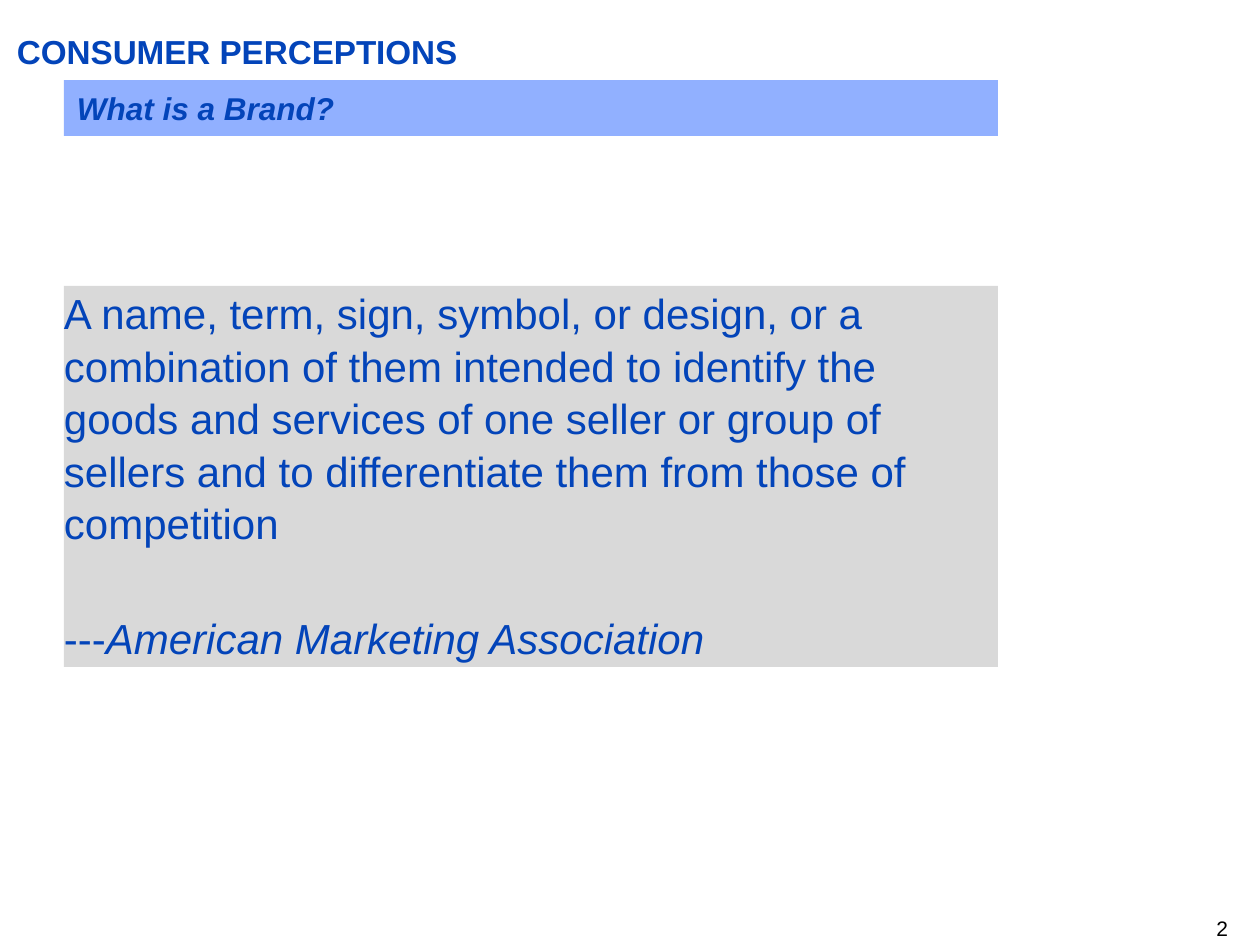
import pptx
import pptx.dml.color
import pptx.enum.shapes
import pptx.enum.text
import pptx.util

PX = 914400 // 126  # EMU per px
BLUE, BLACK = "0344B9", "000000"
PALE_BLUE, GREY = "91B0FF", "D9D9D9"
PANEL_LEFT, PANEL_WIDTH = 64, 934
ALIGN = pptx.enum.text.PP_ALIGN
ANCHOR = pptx.enum.text.MSO_ANCHOR


def px(*lengths):
    return [pptx.util.Emu(length * PX) for length in lengths]


def colour(hex_string):
    return pptx.dml.color.RGBColor.from_string(hex_string)


def set_frame(shape, anchor=ANCHOR.TOP, inset_x=0):
    frame = shape.text_frame
    frame.word_wrap = True
    frame.vertical_anchor = anchor
    frame.margin_left, frame.margin_right = px(inset_x, inset_x)
    frame.margin_top = frame.margin_bottom = 0
    return frame


def add_run(paragraph, text, size, ink=BLUE, bold=False, italic=False):
    run = paragraph.add_run()
    run.text = text
    font = run.font
    font.name, font.size = "Arial", pptx.util.Pt(size)
    font.bold, font.italic = bold, italic
    font.color.rgb = colour(ink)


def add_label(slide, box, text, size, align=ALIGN.LEFT, **style):
    frame = set_frame(slide.shapes.add_textbox(*px(*box)))
    paragraph = frame.paragraphs[0]
    paragraph.alignment = align
    add_run(paragraph, text, size, **style)


def add_panel(slide, top, height, fill, **frame_options):
    panel = slide.shapes.add_shape(
        pptx.enum.shapes.MSO_SHAPE.RECTANGLE,
        *px(PANEL_LEFT, top, PANEL_WIDTH, height))
    panel.shadow.inherit = False
    panel.fill.solid()
    panel.fill.fore_color.rgb = colour(fill)
    panel.line.fill.background()
    frame = set_frame(panel, **frame_options)
    frame.paragraphs[0].alignment = ALIGN.LEFT
    return frame


def main():
    deck = pptx.Presentation()
    deck.slide_width, deck.slide_height = px(1260, 945)
    slide = deck.slides.add_slide(deck.slide_layouts[6])

    # Page number
    add_label(slide, (966, 916, 262, 25), "2", 12, ALIGN.RIGHT, ink=BLACK)

    # Question banner
    question = add_panel(slide, 80, 56, PALE_BLUE, anchor=ANCHOR.MIDDLE, inset_x=13)
    add_run(question.paragraphs[0], "What is a Brand?", 18, bold=True, italic=True)

    # Definition and its source
    definition = add_panel(slide, 286, 381, GREY)
    wording = definition.paragraphs[0]
    add_run(wording, "A name, term, sign, symbol, or design, or a combination of "
            "them intended to identify the goods and services of one seller or "
            "group of sellers and to differentiate them from those of competition", 24)
    attribution = definition.add_paragraph()
    attribution.alignment = ALIGN.LEFT
    attribution.space_before = pptx.util.Pt(36)
    add_run(attribution, "---", 24)
    add_run(attribution, "American Marketing Association", 24, italic=True)
    for paragraph in definition.paragraphs:
        paragraph.line_spacing = 1.04

    # Title
    add_label(slide, (17, 31, 1212, 40), "CONSUMER PERCEPTIONS", 19, bold=True)

    deck.save("out.pptx")


if __name__ == "__main__":
    main()
